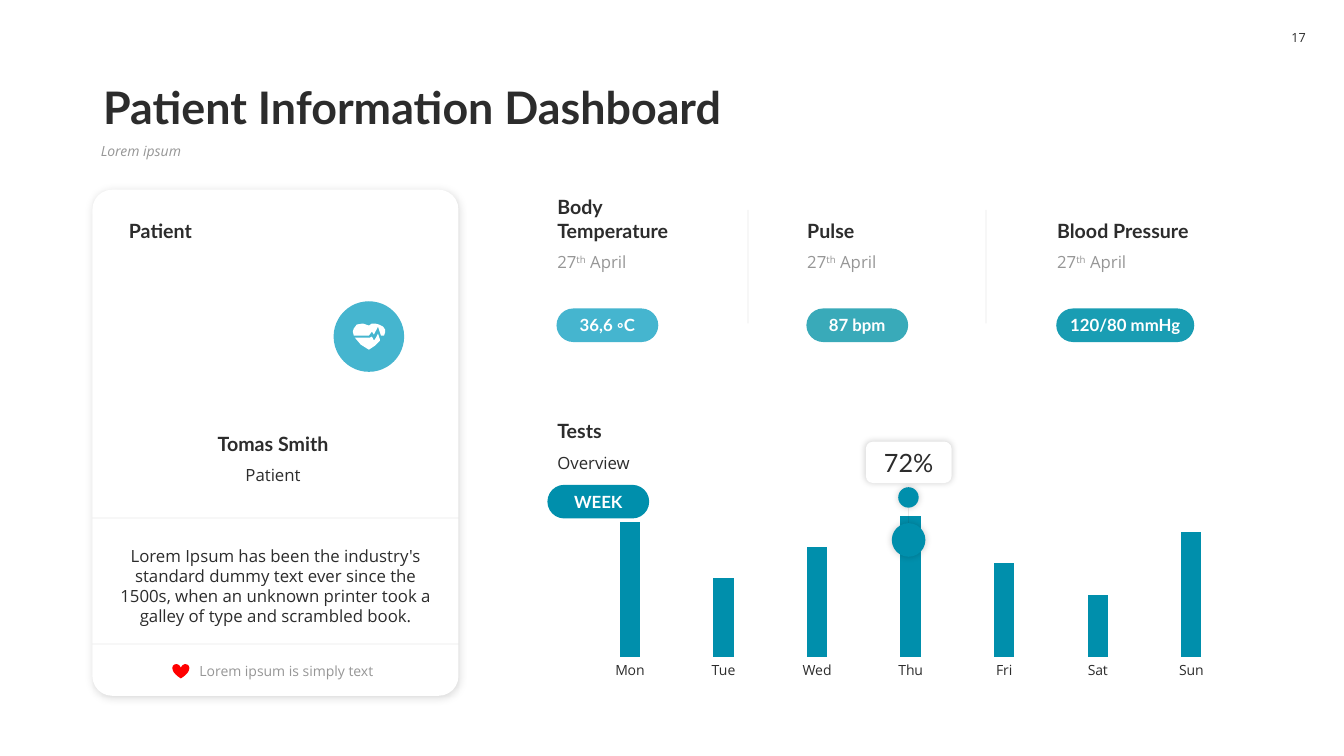
import pptx
import pptx.chart.data
import pptx.dml.color
import pptx.enum.chart
import pptx.enum.shapes
import pptx.enum.text
import pptx.oxml
import pptx.oxml.ns
import pptx.util
from lxml import etree

Pt = pptx.util.Pt
RGB = pptx.dml.color.RGBColor.from_string
qn = pptx.oxml.ns.qn
SHAPE = pptx.enum.shapes.MSO_SHAPE
ALIGN = pptx.enum.text.PP_ALIGN
ANCHOR = pptx.enum.text.MSO_ANCHOR

INK, GREY, WHITE = RGB("2C2C2C"), RGB("969696"), RGB("FFFFFF")
THEME = {
    "colour": {"teal": RGB("008FAC"), "sky": RGB("45B5CF"), "sea": RGB("39AAB9"),
               "lagoon": RGB("199DB3"), "heart": RGB("FF0000"), "white": WHITE},
    "text": {
        "title": (INK, {"name": "Lato", "size": Pt(32), "bold": True}),
        "heading": (INK, {"name": "Lato", "size": Pt(14), "bold": True}),
        "pill": (WHITE, {"name": "Lato", "size": Pt(12), "bold": True}),
        "bubble": (INK, {"name": "Lato", "size": Pt(18), "bold": False}),
        "body": (INK, {"name": "Open Sans", "size": Pt(12)}),
        "date": (GREY, {"name": "Open Sans", "size": Pt(12)}),
        "note": (GREY, {"name": "Open Sans", "size": Pt(10)}),
        "subtitle": (GREY, {"name": "Open Sans", "size": Pt(10), "italic": True}),
        "axis": (INK, {"name": "Open Sans", "size": Pt(10)}),
        "page": (INK, {"name": "Open Sans", "size": Pt(9)}),
    },
}

deck = pptx.Presentation()
deck.slide_width, deck.slide_height = Pt(960), Pt(540)
slide = deck.slides.add_slide(deck.slide_layouts[1])
shapes = slide.shapes


def write(frame, text, style, align=ALIGN.LEFT, anchor=ANCHOR.TOP, inset=(7.2, 3.6), wrap=True):
    """Fill a text frame with one paragraph; text between ^ marks is superscript."""
    side, end = map(Pt, inset)
    layout = {"word_wrap": wrap, "auto_size": pptx.enum.text.MSO_AUTO_SIZE.NONE,
              "vertical_anchor": anchor, "margin_left": side, "margin_right": side,
              "margin_top": end, "margin_bottom": end}
    for key, value in layout.items():
        setattr(frame, key, value)
    paragraph = frame.paragraphs[0]
    paragraph.alignment = align
    colour, font = THEME["text"][style]
    for i, part in enumerate(text.split("^")):
        run = paragraph.add_run()
        run.text = part
        for key, value in font.items():
            setattr(run.font, key, value)
        run.font.color.rgb = colour
        if i % 2:
            run._r.get_or_add_rPr().set("baseline", "30000")
    return paragraph


def add_figure(kind, box, fill, corner=None, shadow=None):
    """Add a borderless shape; shadow is (opacity %, blur, distance)."""
    figure = shapes.add_shape(kind, *map(Pt, box))
    figure.shadow.inherit = False
    figure.fill.solid()
    figure.fill.fore_color.rgb = THEME["colour"][fill]
    figure.line.fill.background()
    if corner is not None:
        figure.adjustments[0] = corner
    if shadow:
        opacity, blur, distance = shadow
        outer = etree.SubElement(figure._element.spPr.find(qn("a:effectLst")), qn("a:outerShdw"),
                                 blurRad=str(Pt(blur)), dist=str(Pt(distance)),
                                 dir="2700000", algn="tl", rotWithShape="0")
        black = etree.SubElement(outer, qn("a:srgbClr"), val="000000")
        etree.SubElement(black, qn("a:alpha"), val=str(opacity * 1000))
    return figure


SOFT = (20, 5, 0)

# Patient card
add_figure(SHAPE.ROUNDED_RECTANGLE, (66, 135.5, 261.5, 361.5), "white", 0.054, (15, 6, 1))

# Title and subtitle
for holder, box, text, style, anchor in [
    (shapes.title, (66.5, 41.8, 828, 57.6), "Patient Information Dashboard", "title", ANCHOR.BOTTOM),
    (slide.placeholders[1], (64.8, 99.4, 829.4, 25.9), "Lorem ipsum", "subtitle", ANCHOR.TOP),
]:
    holder.left, holder.top, holder.width, holder.height = map(Pt, box)
    heading = write(holder.text_frame, text, style, anchor=anchor)
    heading.line_spacing = 0.9
    heading.space_before = Pt(0)
    properties = heading._p.get_or_add_pPr()
    properties.set("marL", "0")
    properties.set("indent", "0")
    etree.SubElement(properties, qn("a:buNone"))

# Labels, then the three measurements
labels = [
    ((85, 152, 230.5, 24.4), "Patient", "heading", ALIGN.LEFT, ANCHOR.BOTTOM),
    ((123.1, 304.2, 144, 24.4), "Tomas Smith", "heading", ALIGN.CENTER, ANCHOR.BOTTOM),
    ((123.1, 328.6, 144, 21.6), "Patient", "body", ALIGN.CENTER, ANCHOR.TOP),
    ((135.4, 469.4, 141, 19.4), "Lorem ipsum is simply text", "note", ALIGN.LEFT, ANCHOR.MIDDLE),
    ((77.8, 385.9, 238.3, 65.5),
     "Lorem Ipsum has been the industry's standard dummy text ever since the 1500s, "
     "when an unknown printer took a galley of type and scrambled book.",
     "body", ALIGN.CENTER, ANCHOR.TOP),
    ((391, 295.4, 206, 24.4), "Tests", "heading", ALIGN.LEFT, ANCHOR.BOTTOM),
    ((391, 319.8, 206, 21.6), "Overview", "body", ALIGN.LEFT, ANCHOR.TOP),
]
pills = [((391, 346.3, 72.7, 24), "WEEK", "teal")]
for column, (measure, height, value, width, colour) in enumerate([
    ("Body Temperature", 41, "36,6 ◦C", 72.7, "sky"),
    ("Pulse", 24.4, "87 bpm", 72.7, "sea"),
    ("Blood Pressure", 24.4, "120/80 mmHg", 98.6, "lagoon"),
]):
    left = 391 + 178.5 * column
    labels += [
        ((left, 176.4 - height, 119.5, height), measure, "heading", ALIGN.LEFT, ANCHOR.BOTTOM),
        ((left, 176.4, 119.5, 21.6), "27^th^ April", "date", ALIGN.LEFT, ANCHOR.TOP),
    ]
    pills.append(((left + 6.5, 220.3, width, 24), value, colour))
for box, text, style, align, anchor in labels:
    write(shapes.add_textbox(*map(Pt, box)).text_frame, text, style, align, anchor)

# Weekly tests
tests = pptx.chart.data.CategoryChartData()
tests.categories = ["Mon", "Tue", "Wed", "Thu", "Fri", "Sat", "Sun"]
tests.add_series("Series 1", [96, 56, 78, 100, 67, 44, 89])
chart = shapes.add_chart(pptx.enum.chart.XL_CHART_TYPE.COLUMN_CLUSTERED,
                         Pt(406.8), Pt(355.7), Pt(487.4), Pt(132.5), tests).chart
chart.has_legend = chart.has_title = False
axis_colour, axis_font = THEME["text"]["axis"]
for key, value in axis_font.items():
    setattr(chart.font, key, value)
chart.font.color.rgb = axis_colour
days, scale = chart.category_axis, chart.value_axis
days.major_tick_mark = pptx.enum.chart.XL_TICK_MARK.NONE
days.format.line.fill.background()
for key, value in {"visible": False, "has_major_gridlines": False,
                   "minimum_scale": 0, "maximum_scale": 100}.items():
    setattr(scale, key, value)
bars = chart.plots[0]
bars.gap_width, bars.overlap, bars.vary_by_categories = 360, -30, False
bars.series[0].format.fill.solid()
bars.series[0].format.fill.fore_color.rgb = THEME["colour"]["teal"]
plot_area = chart._chartSpace.chart.plotArea
for automatic in plot_area.findall(qn("c:layout")):
    plot_area.remove(automatic)
plot_layout = etree.Element(qn("c:layout"))
plot_area.insert(0, plot_layout)
manual = etree.SubElement(plot_layout, qn("c:manualLayout"))
for key, value in {"layoutTarget": "inner", "xMode": "edge", "yMode": "edge",
                   "x": "0.02", "y": "0.1", "w": "0.96", "h": "0.76"}.items():
    etree.SubElement(manual, qn("c:" + key), val=value)

# Card rules, column dividers and the marker stem
for ends in [(66, 370, 327.5, 370), (66, 460, 327.5, 460), (534.3, 231, 534.3, 150),
             (704.3, 231, 704.3, 150), (648.9, 363, 648.9, 373.5)]:
    rule = shapes.add_connector(pptx.enum.shapes.MSO_CONNECTOR.STRAIGHT, *map(Pt, ends))
    rule.line.width = Pt(0.5)
    rule.line.color.rgb = INK
    tint = rule._element.spPr.find(".//" + qn("a:srgbClr"))
    etree.SubElement(tint, qn("a:alpha"), val="10000")
    etree.SubElement(rule._element.spPr, qn("a:effectLst"))

# Pills, value bubble, page number
for box, text, colour in pills:
    write(add_figure(SHAPE.ROUNDED_RECTANGLE, box, colour, 0.5).text_frame,
          text, "pill", ALIGN.CENTER, ANCHOR.MIDDLE, (0, 0))
for box in [(637, 373.7, 24, 24), (641.6, 348, 14.6, 14.6)]:
    add_figure(SHAPE.OVAL, box, "teal", shadow=SOFT)
bubble = add_figure(SHAPE.ROUNDED_RECTANGLE, (618.5, 315.5, 61.2, 29.5), "white", shadow=SOFT)
write(bubble.text_frame, "72%", "bubble", ALIGN.CENTER, ANCHOR.MIDDLE, (5.8, 3.6))
page = add_figure(SHAPE.ROUNDED_RECTANGLE, (913.7, 13, 28, 28), "white")
write(page.text_frame, "17", "page", ALIGN.CENTER, ANCHOR.MIDDLE, (0, 3.6), False)

# Hearts: footer mark and pulse badge, the latter drawn in hundredths of an inch
add_figure(SHAPE.HEART, (123.1, 474.2, 12.2, 10.4), "heart")
add_figure(SHAPE.OVAL, (238.3, 215.2, 50.4, 50.4), "sky")
lower_half = [(375, 331), (377, 337), (377, 338), (372, 343), (366, 347), (358.5, 342.3),
              (352, 335), (367, 335), (369, 334), (371, 338), (373, 335)]
upper_half = [(360, 321), (363.2, 321.5), (366, 323), (369, 321.4), (372, 321), (376.5, 321.8),
              (380, 324.3), (381.6, 327), (381.6, 330), (381, 333), (378, 333), (376, 327),
              (375, 324), (371, 332), (369, 329), (366, 333), (351, 333), (350, 329),
              (351, 325.5), (354.5, 322.3)]
outline = shapes.build_freeform(*lower_half[0], scale=Pt(0.72))
outline.add_line_segments(lower_half[1:], close=True)
outline.move_to(*upper_half[0])
outline.add_line_segments(upper_half[1:], close=True)
pulse_heart = outline.convert_to_shape()
pulse_heart.shadow.inherit = False
pulse_heart.fill.solid()
pulse_heart.fill.fore_color.rgb = THEME["colour"]["white"]
pulse_heart.line.fill.background()

deck.save("out.pptx")
